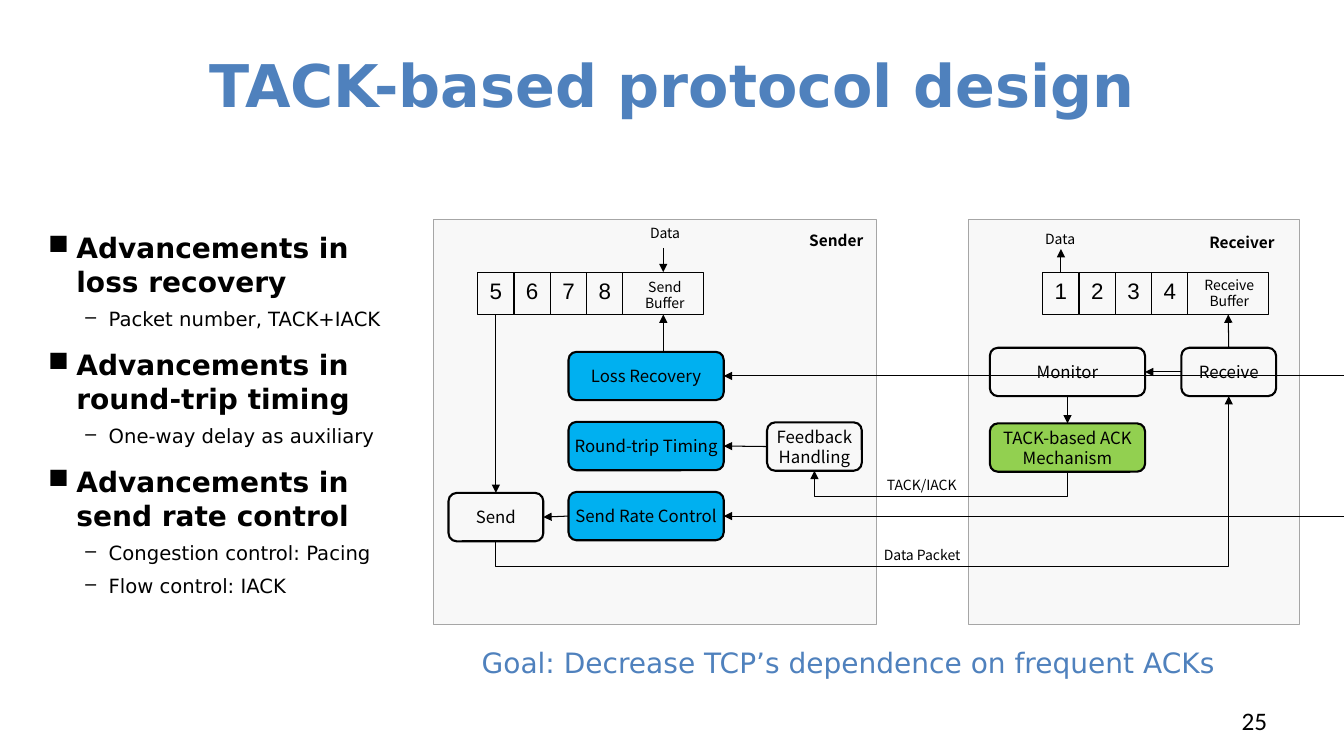
"""Build the slide on TACK-based protocol design."""
import dataclasses

import pptx
import pptx.dml.color
import pptx.enum.shapes
import pptx.enum.text
import pptx.oxml
import pptx.oxml.ns
import pptx.util

SHAPE = pptx.enum.shapes.MSO_SHAPE
CONNECTOR = pptx.enum.shapes.MSO_CONNECTOR
ALIGN = pptx.enum.text.PP_ALIGN
ANCHOR = pptx.enum.text.MSO_ANCHOR
TOP, LEFT, BOTTOM, RIGHT = range(4)
COLUMNS, ROWS = 133.33, 75
CELL_WIDTH, CELL_HEIGHT, BUFFER_WIDTH, BUFFER_ROW = 3.6, 4.2, 8, 27
BOX_HEIGHT, WIDE, NARROW = 4.8, 15.4, 9.4


@dataclasses.dataclass(frozen=True)
class Theme:
    """Colours, fonts and type sizes of the slide."""
    accent: str = "4F81BD"
    ink: str = "000000"
    panel: str = "F2F2F2"
    panel_line: str = "A6A6A6"
    advanced: str = "00B0F0"
    mechanism: str = "92D050"
    heading_font: str = "DejaVu Sans"
    diagram_font: str = "Noto Sans CJK SC"
    cell_font: str = "Arial"
    number_font: str = "Calibri"
    title: int = 42
    heading: int = 20
    number: int = 18
    cell: int = 16
    detail: int = 14
    node: int = 12
    side: int = 11
    label: int = 10
    thin: float = 0.75
    thick: float = 1.5


THEME = Theme()


def grid(units):
    """Turn grid columns or rows into a length."""
    return pptx.util.Inches(units / 10)


def rgb(color):
    """Turn a hexadecimal string into a colour."""
    return pptx.dml.color.RGBColor.from_string(color)


def child(parent, tag, **attributes):
    """Append a drawing element to a parent element."""
    element = pptx.oxml.parse_xml(f"<a:{tag} {pptx.oxml.ns.nsdecls('a')}/>")
    for name, value in attributes.items():
        element.set(name, str(value))
    parent.append(element)
    return element


def write(box, text, size=THEME.label, font=THEME.diagram_font, color=THEME.ink,
          bold=False, align=ALIGN.LEFT, level=0, before=0, spacing=None,
          bullet=None, margin=0, indent=0):
    """Add each line of text to a box as a formatted paragraph."""
    frame = box.text_frame
    for line in text.split("\n"):
        para = frame.add_paragraph() if frame.text else frame.paragraphs[0]
        para.alignment, para.level = align, level
        para.space_before = pptx.util.Pt(before)
        if spacing:
            para.line_spacing = spacing
        if bullet:
            properties = para._p.get_or_add_pPr()
            properties.set("marL", str(grid(margin)))
            properties.set("indent", str(grid(indent)))
            child(properties, "buChar", char=bullet)
        span = para.add_run()
        span.text = line
        span.font.size, span.font.name = pptx.util.Pt(size), font
        span.font.bold, span.font.color.rgb = bold, rgb(color)


def text_box(page, left, top, width, height, wrap=False, anchor=ANCHOR.TOP):
    """Add an empty text box."""
    box = page.shapes.add_textbox(*map(grid, (left, top, width, height)))
    box.text_frame.word_wrap = wrap
    box.text_frame.vertical_anchor = anchor
    return box


def label(page, text, left, top, width, height=2.7, **style):
    """Add a short caption."""
    write(text_box(page, left, top, width, height), text, **style)


def outline(page, kind, left, top, width, height, line=THEME.ink,
            weight=THEME.thin, fill=None):
    """Add a preset shape with an outline and an optional fill."""
    box = page.shapes.add_shape(kind, *map(grid, (left, top, width, height)))
    box.shadow.inherit = False
    box.line.color.rgb, box.line.width = rgb(line), pptx.util.Pt(weight)
    if fill:
        box.fill.solid()
        box.fill.fore_color.rgb = rgb(fill)
    else:
        box.fill.background()
    return box


def panel(page, left, width):
    """Add a half-transparent background panel."""
    box = outline(page, SHAPE.RECTANGLE, left, 21.8, width, 40.2,
                  line=THEME.panel_line, fill=THEME.panel)
    color = box.fill._xPr.find(".//" + pptx.oxml.ns.qn("a:srgbClr"))
    child(color, "alpha", val=50000)


def node(page, text, left, top, width, fill=None):
    """Add a rounded process box."""
    box = outline(page, SHAPE.ROUNDED_RECTANGLE, left, top, width, BOX_HEIGHT,
                  weight=THEME.thick, fill=fill)
    frame = box.text_frame
    frame.word_wrap, frame.vertical_anchor = True, ANCHOR.MIDDLE
    frame.margin_left = frame.margin_right = frame.margin_top = frame.margin_bottom = 0
    write(box, text, size=THEME.node, align=ALIGN.CENTER)
    return box


def packet_buffer(page, numbers, left):
    """Add a row of numbered cells and return the first cell and the buffer."""
    cells = []
    for index, number in enumerate(numbers):
        cell = outline(page, SHAPE.RECTANGLE, left + index * CELL_WIDTH, BUFFER_ROW,
                       CELL_WIDTH, CELL_HEIGHT)
        cell.text_frame.vertical_anchor = ANCHOR.TOP
        write(cell, number, size=THEME.cell, font=THEME.cell_font, align=ALIGN.CENTER)
        cells.append(cell)
    store = outline(page, SHAPE.RECTANGLE, left + len(cells) * CELL_WIDTH, BUFFER_ROW,
                    BUFFER_WIDTH, CELL_HEIGHT)
    return cells[0], store


def arrow(page, start, end, kind=CONNECTOR.STRAIGHT):
    """Join two ends, each a grid point or a box with its side."""
    points = [(0, 0) if hasattr(stop[0], "shape_id") else tuple(map(grid, stop))
              for stop in (start, end)]
    line = page.shapes.add_connector(kind, *points[0], *points[1])
    for stop, connect in ((start, line.begin_connect), (end, line.end_connect)):
        if hasattr(stop[0], "shape_id"):
            connect(*stop)
    line.line.color.rgb, line.line.width = rgb(THEME.ink), pptx.util.Pt(THEME.thin)
    child(line.line._get_or_add_ln(), "tailEnd", type="triangle")
    child(line._element.spPr, "effectLst")
    return line


def under_arrow(page, start, end, drop=2.5):
    """Join the bottoms of two boxes with a line that runs below both."""
    line = arrow(page, (start, BOTTOM), (end, BOTTOM), CONNECTOR.ELBOW)
    rise, run = line.begin_y - line.end_y, line.end_x - line.begin_x
    middle_x = (line.begin_x + line.end_x) // 2
    middle_y = (line.begin_y + line.end_y) // 2
    line.width, line.height = rise, abs(run)
    line.left, line.top = middle_x - rise // 2, middle_y - abs(run) // 2
    frame = line._element.spPr.find(pptx.oxml.ns.qn("a:xfrm"))
    frame.set("rot", "5400000")
    frame.set("flipH", "1")
    frame.set("flipV", "1" if run > 0 else "0")
    geometry = line._element.spPr.find(pptx.oxml.ns.qn("a:prstGeom"))
    guides = geometry.get_or_add_avLst()
    child(guides, "gd", name="adj1", fmla=f"val {round(-100000 * grid(drop) / rise)}")


def advancements(page):
    """Add the list of advancements."""
    box = text_box(page, 3.8, 22.4, 36.7, 38.6, wrap=True)
    topics = {
        "loss recovery": "Packet number, TACK+IACK",
        "round-trip timing": "One-way delay as auxiliary",
        "send rate control": "Congestion control: Pacing\nFlow control: IACK",
    }
    for index, (topic, details) in enumerate(topics.items()):
        write(box, f"Advancements in {topic}", size=THEME.heading, bold=True,
              font=THEME.heading_font, before=12 if index else 6,
              bullet="■", margin=2.8, indent=-2.8)
        write(box, details, size=THEME.detail, font=THEME.heading_font, level=1,
              spacing=1.4, bullet="–", margin=6, indent=-2.3)


def diagram(page):
    """Add the sender and receiver with the flows between them."""
    panel(page, 96.1, 32.8)
    panel(page, 43, 44)
    first_sent, send_buffer = packet_buffer(page, "5678", 47.4)
    first_received, receive_buffer = packet_buffer(page, "1234", 103.45)
    send = node(page, "Send", 44.5, 48.9, NARROW)
    loss, timing, rate = [
        node(page, text, 56.4, 34.9 + 6.95 * index, WIDE, THEME.advanced)
        for index, text in enumerate(("Loss Recovery", "Round-trip Timing", "Send Rate Control"))]
    feedback = node(page, "Feedback\nHandling", 76.1, 41.9, NARROW)
    mechanism = node(page, "TACK-based ACK Mechanism", 98.2, 42, WIDE, THEME.mechanism)
    receive = node(page, "Receive", 117.2, 34.5, NARROW)
    monitor = node(page, "Monitor", 98.2, 34.5, WIDE)

    arrow(page, (first_sent, BOTTOM), (send, TOP))
    arrow(page, (rate, LEFT), (send, RIGHT))
    arrow(page, (feedback, LEFT), (timing, RIGHT))
    arrow(page, (65.8, 34.9), (send_buffer, BOTTOM))
    arrow(page, (65.8, 24.6), (send_buffer, TOP))
    arrow(page, (first_received, TOP), (105.25, 24.7))
    arrow(page, (monitor, BOTTOM), (mechanism, TOP))
    arrow(page, (receive, TOP), (receive_buffer, BOTTOM))
    arrow(page, (receive, LEFT), (monitor, RIGHT))
    for target, row in ((loss, 37.3), (rate, 51.2)):
        arrow(page, (COLUMNS, row), (target, RIGHT))
    under_arrow(page, send, receive)
    under_arrow(page, mechanism, feedback)

    label(page, "Send\nBuffer", 62.9, 27.1, 6.1, 4.4, align=ALIGN.CENTER)
    label(page, "Receive\nBuffer", 118.4, 26.9, 7.1, 4.4, align=ALIGN.CENTER)
    label(page, "TACK/IACK", 87, 46.8, 9.5)
    label(page, "Data Packet", 86.7, 53.7, 10)
    label(page, "Data", 63.5, 21.8, 5.2)
    label(page, "Data", 102.7, 22.4, 5.2)
    label(page, "Sender", 79.3, 22.4, 7.4, 2.9, size=THEME.side, bold=True)
    label(page, "Receiver", 119, 22.6, 8.6, 2.9, size=THEME.side, bold=True)


def main():
    """Build and save the slide."""
    deck = pptx.Presentation()
    deck.slide_width, deck.slide_height = grid(COLUMNS), grid(ROWS)
    page = deck.slides.add_slide(deck.slide_layouts[6])
    write(text_box(page, 6.7, 2.1, 120, 12.5, wrap=True, anchor=ANCHOR.MIDDLE),
          "TACK-based protocol design", size=THEME.title, font=THEME.heading_font,
          color=THEME.accent, bold=True, align=ALIGN.CENTER)
    diagram(page)
    advancements(page)
    label(page, "Goal: Decrease TCP’s dependence on frequent ACKs", 46.8, 63.5, 75.5, 4.4,
          size=THEME.heading, font=THEME.heading_font, color=THEME.accent)
    write(text_box(page, 95.6, 69.5, 31.1, 4, wrap=True), "25", size=THEME.number,
          font=THEME.number_font, align=ALIGN.RIGHT)
    deck.save("out.pptx")


if __name__ == "__main__":
    main()
